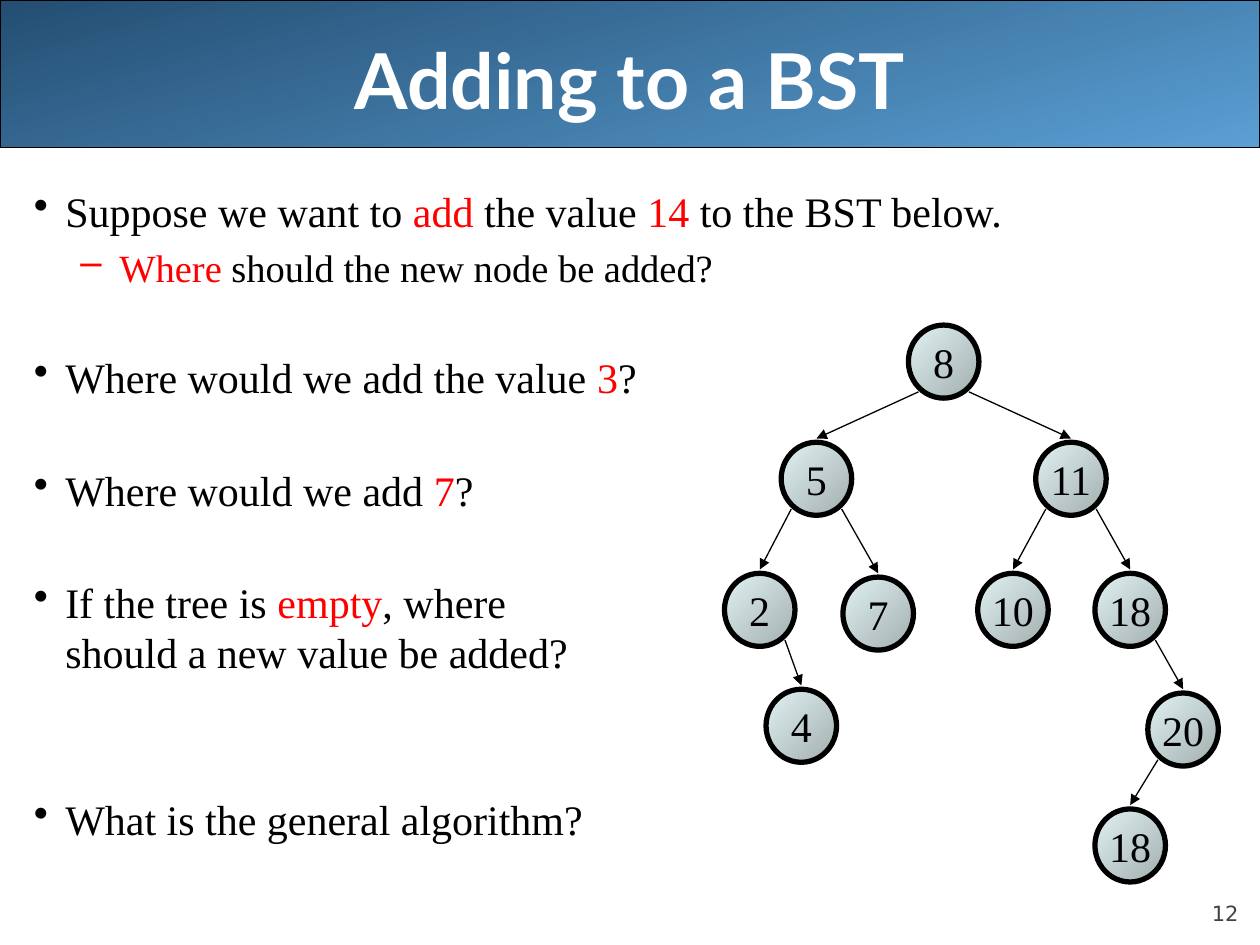
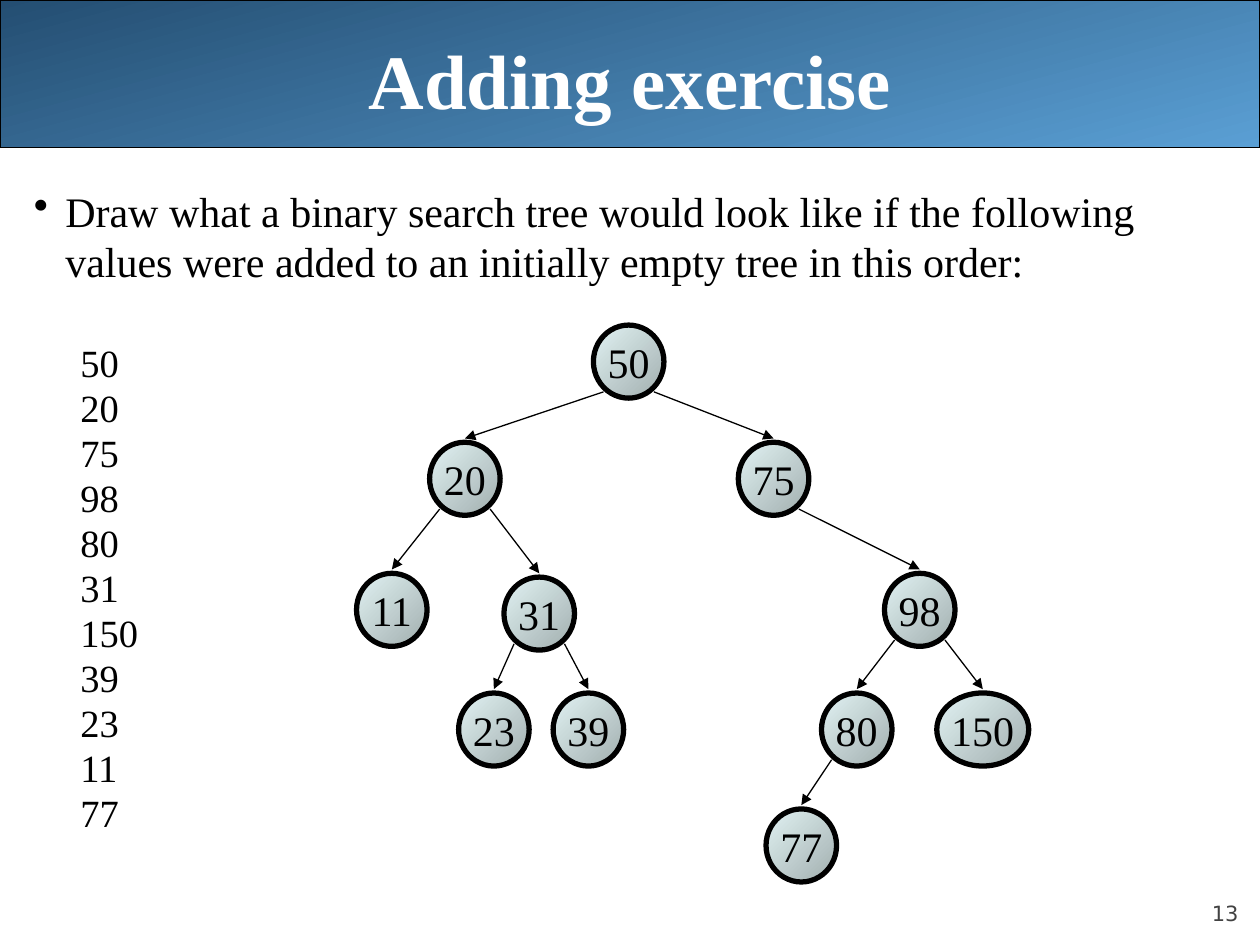
from lxml.etree import SubElement
from pptx import Presentation
from pptx.dml.color import RGBColor
from pptx.enum.shapes import MSO_CONNECTOR, MSO_SHAPE
from pptx.enum.text import MSO_ANCHOR as ANCHOR, PP_ALIGN as ALIGN
from pptx.oxml.ns import qn
from pptx.util import Inches, Pt

COLUMNS, ROWS = 10, 7.5
SLIDE_WIDTH, SLIDE_HEIGHT = Inches(10), Inches(7.5)
TITLE_ONLY = 5
COLORS = {
    "ink": "000000", "accent": "FF0000", "title": "FFFFFF", "number": "424242",
    "band_dark": "244E72", "band_light": "5A9FD4",
    "node_light": "E1F2F3", "node_dark": "A2AFAF",
}
SERIF, SANS, NUMBER_FONT = "Times New Roman", "Lato", "DejaVu Sans"

# Tree layout, in grid cells
LEVEL_TOPS = [2.58, 3.51, 4.55, 5.5, 6.42]
NODE_WIDTH, WIDE_NODE, NODE_HEIGHT = 0.56, 0.73, 0.58
EDGE_OFFSET, EDGE_START, EDGE_GAP = 0.2, 0.53, 0.03

# Space before a paragraph, in points
TIGHT, ONE_LINE, TWO_LINES = 4.6, 35.4, 66.2

# Each key is the way down from the root: L left, R right.
# Each value is the label, the centre column and an optional shift down.
SAMPLE_TREE = {
    "": ("8", 7.49),
    "L": ("5", 6.48), "R": ("11", 8.5),
    "LL": ("2", 6.03), "LR": ("7", 6.97, 0.03),
    "RL": ("10", 8.04), "RR": ("18", 8.97),
    "LLR": ("4", 6.36, -0.03), "RRR": ("20", 9.39),
    "RRRL": ("18", 8.97),
}
EXERCISE_TREE = {
    "": ("50", 4.99),
    "L": ("20", 3.69), "R": ("75", 6.14),
    "LL": ("11", 3.11), "LR": ("31", 4.28, 0.03), "RR": ("98", 7.3),
    "LRL": ("23", 3.92), "LRR": ("39", 4.67),
    "RRL": ("80", 6.8), "RRR": ("150", 7.8),
    "RRLL": ("77", 6.36),
}
ADDED_VALUES = [50, 20, 75, 98, 80, 31, 150, 39, 23, 11, 77]


def color(name):
    return RGBColor.from_string(COLORS[name])


def across(columns):
    return round(SLIDE_WIDTH * columns / COLUMNS)


def down(rows):
    return round(SLIDE_HEIGHT * rows / ROWS)


def cells(left, top, width, height):
    return across(left), down(top), across(width), down(height)


def write(paragraph, text, size=24, font=SERIF, ink="ink", bold=False,
          align=ALIGN.LEFT, before=0, spacing=None, margin=0, bullet=None, hang=0):
    """Fill a paragraph; parts between asterisks take the accent colour."""
    properties = paragraph._p.get_or_add_pPr()
    properties.set("marL", str(Inches(margin)))
    properties.set("indent", str(-Inches(hang)))
    if bullet:
        SubElement(properties, qn("a:buChar")).set("char", bullet)
    paragraph.alignment = align
    if before:
        paragraph.space_before = Pt(before)
    if spacing:
        paragraph.line_spacing = spacing
    for part_number, part in enumerate(text.split("*")):
        for line_number, line in enumerate(part.split("\n")):
            if line_number:
                paragraph.add_line_break()
            if not line:
                continue
            run = paragraph.add_run()
            run.text = line
            run.font.size, run.font.name, run.font.bold = Pt(size), font, bold
            run.font.color.rgb = color("accent" if part_number % 2 else ink)


def add_gradient_shape(slide, kind, place, start, end, angle, line_width):
    shape = slide.shapes.add_shape(kind, *place)
    shape.shadow.inherit = False
    shape.fill.gradient()
    shape.fill.gradient_angle = 360 - angle
    for stop, name in zip(shape.fill.gradient_stops, (start, end)):
        stop.color.rgb = color(name)
    shape.line.color.rgb = color("ink")
    shape.line.width = Pt(line_width)
    return shape


def add_titled_slide(deck, title, number, title_font=SERIF):
    slide = deck.slides.add_slide(deck.slide_layouts[TITLE_ONLY])
    heading = slide.shapes.title
    heading.left, heading.top, heading.width, heading.height = cells(0.5, 0, 9, 1.25)
    heading.text_frame.vertical_anchor = ANCHOR.MIDDLE
    write(heading.text_frame.paragraphs[0], title, size=44, font=title_font,
          ink="title", bold=True, align=ALIGN.CENTER)

    band = add_gradient_shape(slide, MSO_SHAPE.ROUNDED_RECTANGLE, cells(0, 0, COLUMNS, 1.17),
                              "band_dark", "band_light", 75, 0.75)
    band.adjustments[0] = 0
    heading.element.addprevious(band.element)

    frame = slide.shapes.add_textbox(*cells(9, 6.95, 0.83, 0.4)).text_frame
    frame.margin_left = frame.margin_right = frame.margin_top = frame.margin_bottom = 0
    frame.vertical_anchor = ANCHOR.BOTTOM
    frame.word_wrap = True
    write(frame.paragraphs[0], str(number), size=12, font=NUMBER_FONT,
          ink="number", align=ALIGN.RIGHT)
    return slide


def add_body(slide, paragraphs):
    """Add the main text from pairs of wording and format."""
    frame = slide.shapes.add_textbox(*cells(0.17, 1.42, 9.83, 5.67)).text_frame
    frame.word_wrap = True
    for index, (text, style) in enumerate(paragraphs):
        paragraph = frame.add_paragraph() if index else frame.paragraphs[0]
        write(paragraph, text, **style)


def question(text, before=0):
    return text, dict(before=before, margin=0.25, hang=0.25, bullet="•")


def detail(text):
    return text, dict(size=22, before=TIGHT, margin=0.68, hang=0.31, bullet="–")


def listed_value(value, before=TIGHT):
    return str(value), dict(size=22, before=before, spacing=0.8, margin=0.37)


def node_place(tree, route):
    """Return the centre column and the top row of a node."""
    _, center, *shift = tree[route]
    return center, LEVEL_TOPS[len(route)] + sum(shift)


def add_node(slide, label, center, top):
    width = WIDE_NODE if len(label) > 2 else NODE_WIDTH
    node = add_gradient_shape(slide, MSO_SHAPE.OVAL,
                              cells(center - width / 2, top, width, NODE_HEIGHT),
                              "node_light", "node_dark", 45, 3)
    node.text_frame.word_wrap = False
    node.text_frame.vertical_anchor = ANCHOR.MIDDLE
    write(node.text_frame.paragraphs[0], label, align=ALIGN.CENTER)


def add_edge(slide, parent, child, side):
    """Draw an arrow from the parent's lower flank to just above the child."""
    start = parent[0] + (EDGE_OFFSET if side == "R" else -EDGE_OFFSET)
    edge = slide.shapes.add_connector(
        MSO_CONNECTOR.STRAIGHT, across(start), down(parent[1] + EDGE_START),
        across(child[0]), down(child[1] - EDGE_GAP))
    edge.line.color.rgb = color("ink")
    edge.line.width = Pt(0.75)
    SubElement(edge.line._get_or_add_ln(), qn("a:tailEnd")).set("type", "triangle")
    SubElement(edge.element.spPr, qn("a:effectLst"))


def add_tree(slide, tree):
    for route, (label, *_) in tree.items():
        place = node_place(tree, route)
        add_node(slide, label, *place)
        if route:
            add_edge(slide, node_place(tree, route[:-1]), place, route[-1])


def main():
    deck = Presentation()
    deck.slide_width, deck.slide_height = SLIDE_WIDTH, SLIDE_HEIGHT

    adding = add_titled_slide(deck, "Adding to a BST", 12, title_font=SANS)
    add_body(adding, [
        question("Suppose we want to *add* the value *14* to the BST below."),
        detail("*Where* should the new node be added?"),
        question("Where would we add the value *3*?", ONE_LINE),
        question("Where would we add *7*?", ONE_LINE),
        question("If the tree is *empty*, where\nshould a new value be added?", ONE_LINE),
        question("What is the general algorithm?", TWO_LINES),
    ])
    add_tree(adding, SAMPLE_TREE)

    exercise = add_titled_slide(deck, "Adding exercise", 13)
    first, *others = ADDED_VALUES
    add_body(exercise, [
        question("Draw what a binary search tree would look like if the following "
                 "values were added to an initially empty tree in this order:"),
        listed_value(first, ONE_LINE),
        *map(listed_value, others),
    ])
    add_tree(exercise, EXERCISE_TREE)

    deck.save("out.pptx")


if __name__ == "__main__":
    main()
